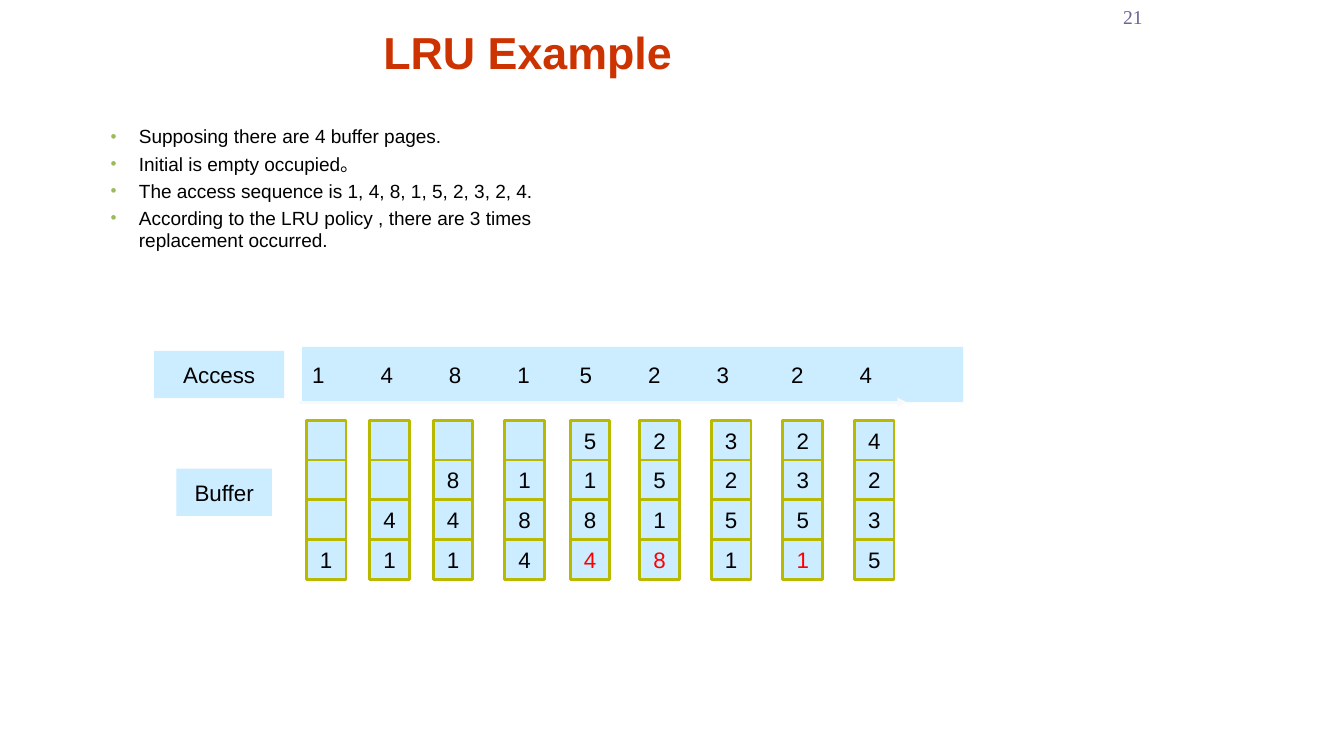
from itertools import accumulate

from lxml.etree import SubElement
from pptx import Presentation
from pptx.dml.color import RGBColor
from pptx.enum.shapes import MSO_CONNECTOR, MSO_SHAPE
from pptx.enum.text import MSO_ANCHOR, PP_ALIGN
from pptx.oxml.ns import qn
from pptx.util import Pt

COLORS = {"title": "CC3300", "text": "000000", "bullet": "9BBB59", "box": "CCECFF",
          "border": "B9B900", "evicted": "FF0000", "arrow": "F9F9F9", "number": "666699"}
RULES = ["Supposing there are 4 buffer pages.",
         "Initial is empty occupied。",
         "The access sequence is 1, 4, 8, 1, 5, 2, 3, 2, 4.",
         "According to the LRU policy , there are 3 times replacement occurred."]
ACCESSES = "148152324"
ACCESS_STEPS = [48.9, 48.9, 48.9, 44.5, 48.9, 48.9, 53.4, 48.9]
BUFFER_STATES = ["   1", "  41", " 841", " 184", "5184", "2518", "3251", "2351", "4235"]
BUFFER_OFFSETS = [0, 45.4, 90.7, 141.8, 188.6, 238.3, 289.4, 340.6, 391.7]
EVICTING_STATES = {4, 5, 7}


def color(key):
    """Return the named colour."""
    return RGBColor.from_string(COLORS[key])


def style(paragraph, size, ink="text", align=PP_ALIGN.LEFT, font="Arial", bold=False):
    """Format a paragraph and all its runs."""
    paragraph.alignment = align
    for run in paragraph.runs:
        run.font.size, run.font.name, run.font.bold = Pt(size), font, bold
        run.font.color.rgb = color(ink)


def add_text(slide, box, lines):
    """Add a wrapping text box with one paragraph per line."""
    frame = slide.shapes.add_textbox(*map(Pt, box)).text_frame
    frame.word_wrap = True
    frame.text = "\n".join(lines)
    return frame


def add_box(slide, box, label, ink="text", align=PP_ALIGN.CENTER, bordered=False):
    """Add a light blue rectangle with a label."""
    rect = slide.shapes.add_shape(MSO_SHAPE.RECTANGLE, *map(Pt, box))
    rect.shadow.inherit = False
    rect.fill.solid()
    rect.fill.fore_color.rgb = color("box")
    if bordered:
        rect.line.color.rgb = color("border")
        rect.line.width = Pt(2)
    else:
        rect.line.fill.background()
    frame = rect.text_frame
    frame.vertical_anchor = MSO_ANCHOR.MIDDLE
    if label:
        frame.text = label
        style(frame.paragraphs[0], 16, ink, align)
    return frame.paragraphs[0]


def add_title(slide, box):
    """Add the slide title, resting on the bottom of its box."""
    frame = add_text(slide, box, ["LRU Example"])
    frame.vertical_anchor = MSO_ANCHOR.BOTTOM
    frame.margin_bottom = Pt(1.8)
    style(frame.paragraphs[0], 32, "title", PP_ALIGN.CENTER, bold=True)


def add_rules(slide, box):
    """Add the bulleted assumptions."""
    for paragraph in add_text(slide, box, RULES).paragraphs:
        style(paragraph, 13.6)
        paragraph.space_before = Pt(3)
        props = paragraph._p.get_or_add_pPr()
        props.set("marL", str(Pt(28.8)))
        props.set("indent", str(-Pt(20.2)))
        SubElement(SubElement(props, qn("a:buClr")), qn("a:srgbClr"), val=COLORS["bullet"])
        SubElement(props, qn("a:buSzPct"), val="90000")
        SubElement(props, qn("a:buFont"), typeface="Arial")
        SubElement(props, qn("a:buChar"), char="•")


def add_access_row(slide, box):
    """Add the access label, the strip of accessed pages and the arrow below."""
    left, top, width, height = box
    add_box(slide, (left, top + 2.9, 92.9, 33.8), "Access")
    strip_left = left + 105.8
    sequence = add_box(slide, (strip_left, top, width - 105.8, height),
                       "\t".join(ACCESSES), align=PP_ALIGN.LEFT)
    tabs = SubElement(sequence._p.get_or_add_pPr(), qn("a:tabLst"))
    for stop in accumulate(ACCESS_STEPS):
        SubElement(tabs, qn("a:tab"), pos=str(Pt(stop)), algn="l")
    arrow = slide.shapes.add_connector(
        MSO_CONNECTOR.STRAIGHT, Pt(strip_left - 2.2), Pt(top + height),
        Pt(strip_left + 432), Pt(top + height))
    arrow.line.color.rgb = color("arrow")
    arrow.line.width = Pt(2.25)
    SubElement(arrow.line._get_or_add_ln(), qn("a:tailEnd"), type="triangle")
    SubElement(arrow._element.spPr, qn("a:effectLst"))


def add_buffer_states(slide, box):
    """Add the buffer label and one stack of four pages per access."""
    left, top, _, height = box
    add_box(slide, (left, top + 34.6, 68.4, 33.8), "Buffer")
    cell = height / 4
    for step, (offset, pages) in enumerate(zip(BUFFER_OFFSETS, BUFFER_STATES)):
        for row, page in enumerate(pages):
            evicted = row == 3 and step in EVICTING_STATES
            add_box(slide, (left + 92.9 + offset, top + row * cell, cell, cell),
                    page.strip(), "evicted" if evicted else "text", bordered=True)


def add_page_number(slide, box):
    """Add the page number."""
    number = add_text(slide, box, ["21"]).paragraphs[0]
    number.space_before = Pt(8.8)
    style(number, 14, "number", PP_ALIGN.RIGHT, "Times New Roman")


def main():
    """Build and save the slide."""
    deck = Presentation()
    deck.slide_width, deck.slide_height = Pt(960.5), Pt(540)
    slide = deck.slides.add_slide(deck.slide_layouts[6])
    add_title(slide, (80.6, 9.4, 593.3, 48.2))
    add_rules(slide, (63.4, 85.7, 391, 100.8))
    add_buffer_states(slide, (126, 300.2, 513, 113.6))
    add_access_row(slide, (110.2, 247.7, 578.1, 39.6))
    add_page_number(slide, (763.9, 0, 59.8, 28.8))
    deck.save("out.pptx")


if __name__ == "__main__":
    main()
